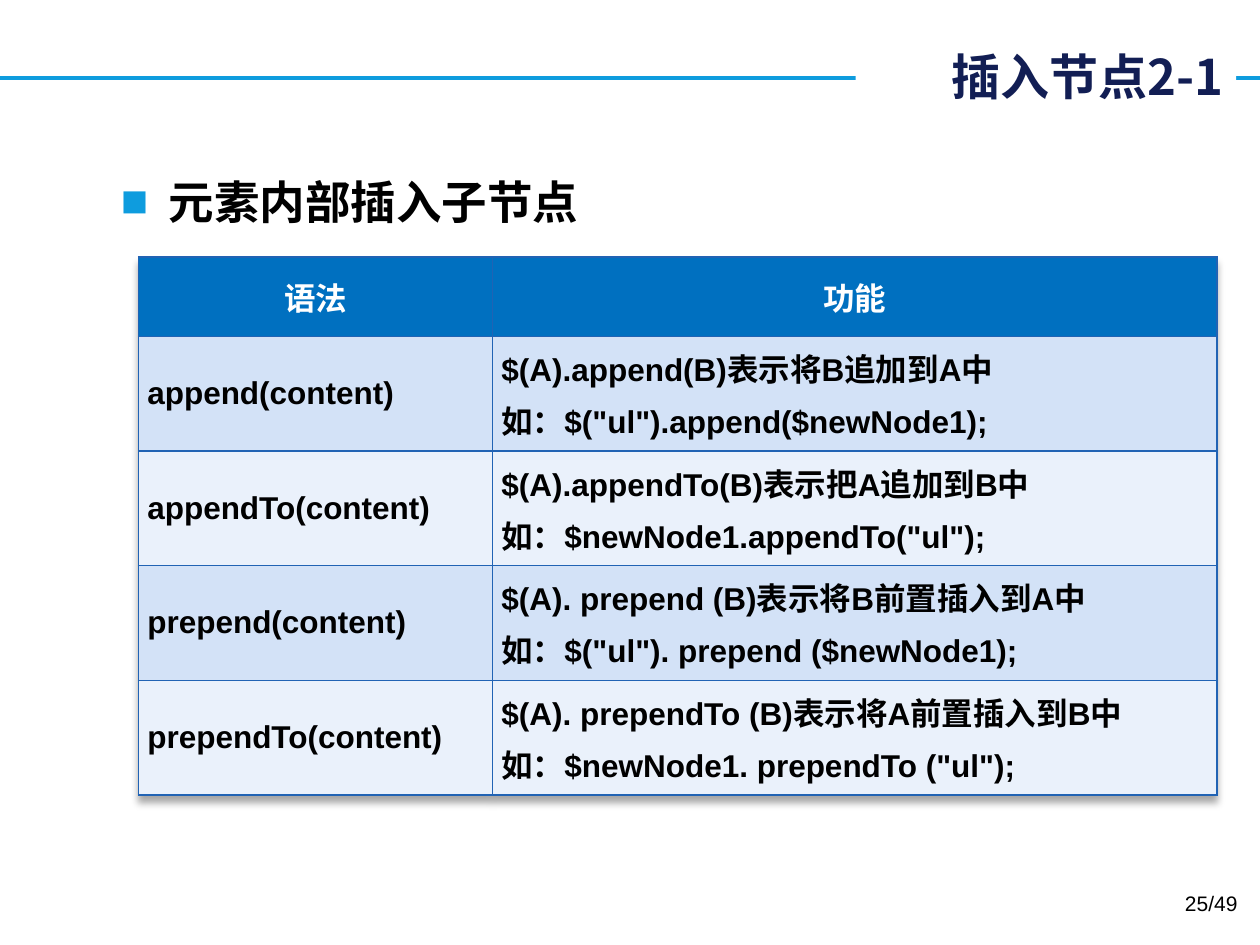
from lxml import etree
from pptx import Presentation
from pptx.dml.color import RGBColor
from pptx.enum import shapes, text
from pptx.oxml import parse_xml
from pptx.oxml.ns import nsdecls, qn
from pptx.util import Inches, Pt

COLORS = {
    "rule": "0E9CDE", "title": "121E54", "text": "000000", "white": "FFFFFF",
    "border": "2163B4", "header": "0070C0", "odd": "D3E2F7", "even": "EAF1FB",
}
CJK = "Noto Sans CJK SC"


def add_run(paragraph, words, size, color, font="Arial", bold=True):
    run = paragraph.add_run()
    run.text = words
    run.font.size = Pt(size)
    run.font.bold = bold
    run.font.name = font
    run.font.color.rgb = RGBColor.from_string(COLORS[color])
    latin = run.font._element.find(qn("a:latin"))
    latin.addnext(parse_xml(f'<a:ea {nsdecls("a")} typeface="{CJK}"/>'))


def style_cell(cell, fill):
    """Set fill, borders, margins and anchor of a table cell."""
    cell.margin_left = cell.margin_right = Inches(0.07)
    cell.margin_top = cell.margin_bottom = 0
    cell.vertical_anchor = text.MSO_ANCHOR.MIDDLE
    properties = cell._tc.get_or_add_tcPr()
    for side in ("lnL", "lnR", "lnT", "lnB"):
        properties.append(parse_xml(
            f'<a:{side} {nsdecls("a")} w="12700"><a:solidFill>'
            f'<a:srgbClr val="{COLORS["border"]}"/></a:solidFill></a:{side}>'))
    cell.fill.solid()
    cell.fill.fore_color.rgb = RGBColor.from_string(COLORS[fill])


prs = Presentation()
prs.slide_width, prs.slide_height = Inches(10), Inches(7.5)
slide = prs.slides.add_slide(prs.slide_layouts[1])

# Title over a rule that runs across the slide
title = slide.shapes.title
title.left, title.top = Inches(6.79), Inches(0.08)
title.width, title.height = Inches(3.02), Inches(1.04)
title.fill.solid()
title.fill.fore_color.rgb = RGBColor.from_string(COLORS["white"])
title.text_frame.vertical_anchor = text.MSO_ANCHOR.MIDDLE
title.text_frame.auto_size = text.MSO_AUTO_SIZE.NONE
heading = title.text_frame.paragraphs[0]
heading.alignment = text.PP_ALIGN.RIGHT
add_run(heading, "插入节点2-1", 28, "title", CJK)

rule = slide.shapes.add_connector(
    shapes.MSO_CONNECTOR.STRAIGHT, 0, Inches(0.62), Inches(10), Inches(0.62))
rule.line.width = Pt(2.25)
rule.line.color.rgb = RGBColor.from_string(COLORS["rule"])
etree.SubElement(rule.element.spPr, qn("a:effectLst"))
title.element.addprevious(rule.element)

# Bulleted topic
topic = slide.placeholders[1]
topic.left, topic.top = Inches(0.86), Inches(1.33)
topic.width, topic.height = Inches(8.36), Inches(0.69)
topic.text_frame.auto_size = text.MSO_AUTO_SIZE.NONE
bullet = topic.text_frame.paragraphs[0]
bullet_format = bullet._p.get_or_add_pPr()
bullet_format.set("marL", str(Inches(0.38)))
bullet_format.set("indent", str(-Inches(0.38)))
for tag, attribute, value in (("buClr", None, None), ("buFont", "typeface", "Arial"),
                              ("buChar", "char", "■")):
    item = etree.SubElement(bullet_format, qn(f"a:{tag}"))
    if attribute:
        item.set(attribute, value)
    else:
        etree.SubElement(item, qn("a:srgbClr")).set("val", COLORS["rule"])
bullet.space_before = Pt(0)
add_run(bullet, "元素内部插入子节点", 26, "text")

# Table of methods
methods = [
    ("语法", ["功能"]),
    ("append(content)",
     ["$(A).append(B)表示将B追加到A中", '如：$("ul").append($newNode1);']),
    ("appendTo(content)",
     ["$(A).appendTo(B)表示把A追加到B中", '如：$newNode1.appendTo("ul");']),
    ("prepend(content)",
     ["$(A). prepend (B)表示将B前置插入到A中", '如：$("ul"). prepend ($newNode1);']),
    ("prependTo(content)",
     ["$(A). prependTo (B)表示将A前置插入到B中", '如：$newNode1. prependTo ("ul");']),
]
table = slide.shapes.add_table(
    len(methods), 2, Inches(1.1), Inches(2.04), Inches(8.55), Inches(4.28)).table
table.columns[0].width, table.columns[1].width = Inches(2.81), Inches(5.75)
table._tbl.tblPr.insert(0, parse_xml(
    f'<a:effectLst {nsdecls("a")}><a:outerShdw blurRad="50800" dist="50800" dir="5400000">'
    '<a:srgbClr val="000000"><a:alpha val="35000"/></a:srgbClr></a:outerShdw></a:effectLst>'))

for row, (syntax, purpose) in enumerate(methods):
    table.rows[row].height = Inches(0.91 if row else 0.63)
    fill = "header" if row == 0 else "odd" if row % 2 else "even"
    for column, lines in enumerate(([syntax], purpose)):
        cell = table.cell(row, column)
        style_cell(cell, fill)
        for number, line in enumerate(lines):
            frame = cell.text_frame
            paragraph = frame.add_paragraph() if number else frame.paragraphs[0]
            if number:
                paragraph.space_before = Pt(3.6)
            paragraph.alignment = text.PP_ALIGN.LEFT if row else text.PP_ALIGN.CENTER
            add_run(paragraph, line, 18, "text" if row else "white")

# Page number
page = slide.shapes.add_textbox(Inches(7.59), Inches(7.02), Inches(2.33), Inches(0.4))
page.text_frame.word_wrap = True
page_count = page.text_frame.paragraphs[0]
page_count.alignment = text.PP_ALIGN.RIGHT
add_run(page_count, "25/49", 12, "text", bold=False)

prs.save("out.pptx")
